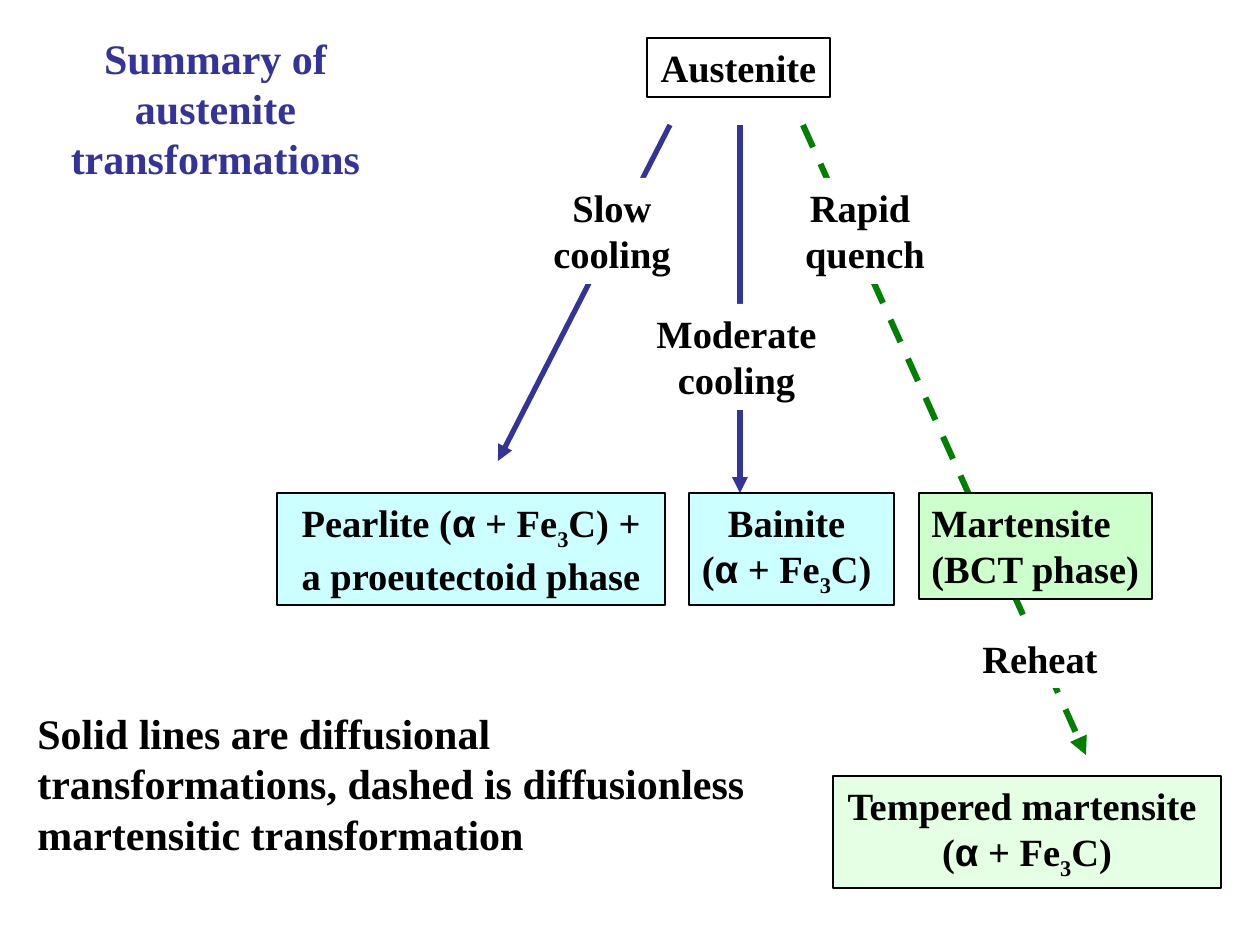
"""Build a slide summarising the transformations of austenite."""
import itertools

import lxml.etree
import pptx
import pptx.dml.color
import pptx.enum.dml
import pptx.enum.shapes
import pptx.enum.text
import pptx.oxml.ns
import pptx.util

PX = 914400 // 126
LEFT = pptx.enum.text.PP_ALIGN.LEFT
CENTER = pptx.enum.text.PP_ALIGN.CENTER
qn = pptx.oxml.ns.qn


def colour(code):
    """Turn a hex string into a colour."""
    return pptx.dml.color.RGBColor.from_string(code)


def write(box, text, size=22, ink="000000", align=CENTER, wrap=False):
    """Fill a box, with digits as subscripts and alpha in Arial."""
    frame = box.text_frame
    frame.word_wrap = wrap
    frame.auto_size = pptx.enum.text.MSO_AUTO_SIZE.NONE
    frame.vertical_anchor = pptx.enum.text.MSO_ANCHOR.TOP
    for index, line in enumerate(text.split("\n")):
        para = frame.add_paragraph() if index else frame.paragraphs[0]
        para.alignment = align
        for (greek, digit), letters in itertools.groupby(line, lambda c: (c == "α", c.isdigit())):
            span = para.add_run()
            span.text = "".join(letters)
            span.font.name = "Arial" if greek else "Times New Roman"
            span.font.size = pptx.util.Pt(size)
            span.font.bold = True
            span.font.color.rgb = colour(ink)
            if digit:
                span.font._element.set("baseline", "-25000")


deck = pptx.Presentation()
deck.slide_width = pptx.util.Inches(10)
deck.slide_height = pptx.util.Inches(7.5)
page = deck.slides.add_slide(deck.slide_layouts[6])

title = page.shapes.add_textbox(44 * PX, 26 * PX, 343 * PX, 164 * PX)
write(title, "Summary of austenite transformations", size=24, ink="333399", wrap=True)

legend = page.shapes.add_textbox(25 * PX, 701 * PX, 784 * PX, 169 * PX)
write(legend, "Solid lines are diffusional transformations, dashed is diffusionless martensitic transformation",
      size=24, align=LEFT, wrap=True)

arrows = [
    (670, 125, 498, 461, "333399", 3, False),
    (740, 125, 740, 493, "333399", 3, False),
    (803, 125, 1086, 755, "008000", 3.5, True),
]
for x1, y1, x2, y2, ink, width, dashed in arrows:
    arrow = page.shapes.add_connector(
        pptx.enum.shapes.MSO_CONNECTOR.STRAIGHT, x1 * PX, y1 * PX, x2 * PX, y2 * PX)
    arrow.line.color.rgb = colour(ink)
    arrow.line.width = pptx.util.Pt(width)
    if dashed:
        arrow.line.dash_style = pptx.enum.dml.MSO_LINE.DASH
    lxml.etree.SubElement(arrow.line._get_or_add_ln(), qn("a:tailEnd"), type="triangle")
    lxml.etree.SubElement(arrow._element.spPr, qn("a:effectLst"))

boxes = [
    (277, 493, 388, 112, "Pearlite (α + Fe3C) + a proeutectoid phase", "CCFFFF", True, {"wrap": True}),
    (689, 493, 205, 112, "Bainite \n(α + Fe3C) ", "CCFFFF", True, {}),
    (539, 178, 146, 106, "Slow\ncooling", "FFFFFF", False, {}),
    (644, 304, 185, 106, "Moderate\ncooling", "FFFFFF", False, {}),
    (792, 178, 146, 106, "Rapid \nquench", "FFFFFF", False, {}),
    (968, 629, 144, 59, "Reheat", "FFFFFF", False, {}),
    (647, 38, 183, 59, "Austenite", "FFFFFF", True, {}),
    (919, 493, 233, 106, "Martensite\n(BCT phase)", "CCFFCC", True, {"align": LEFT}),
    (833, 776, 388, 112, "Tempered martensite \n(α + Fe3C)", "CCFFCC", True, {}),
]
for x, y, width, height, text, fill, outlined, style in boxes:
    box = page.shapes.add_shape(
        pptx.enum.shapes.MSO_SHAPE.RECTANGLE, x * PX, y * PX, width * PX, height * PX)
    box.shadow.inherit = False
    box.fill.solid()
    box.fill.fore_color.rgb = colour(fill)
    if outlined:
        box.line.color.rgb = colour("000000")
        box.line.width = pptx.util.Pt(1)
    else:
        box.line.fill.background()
    write(box, text, **style)
    if text.startswith("Tempered"):
        tint = box._element.spPr.find(qn("a:solidFill")).find(qn("a:srgbClr"))
        lxml.etree.SubElement(tint, qn("a:alpha"), val="50000")

deck.save("out.pptx")
